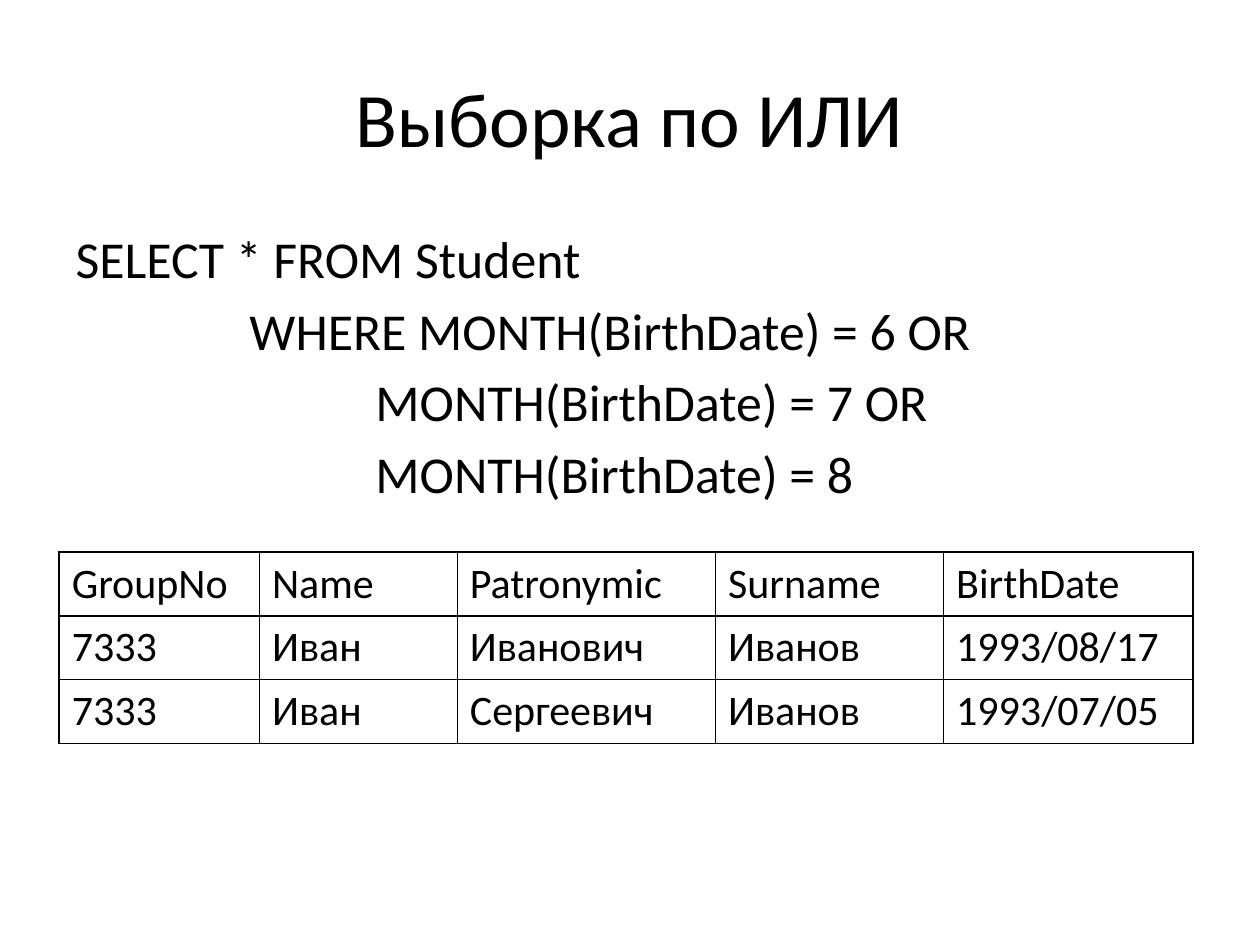
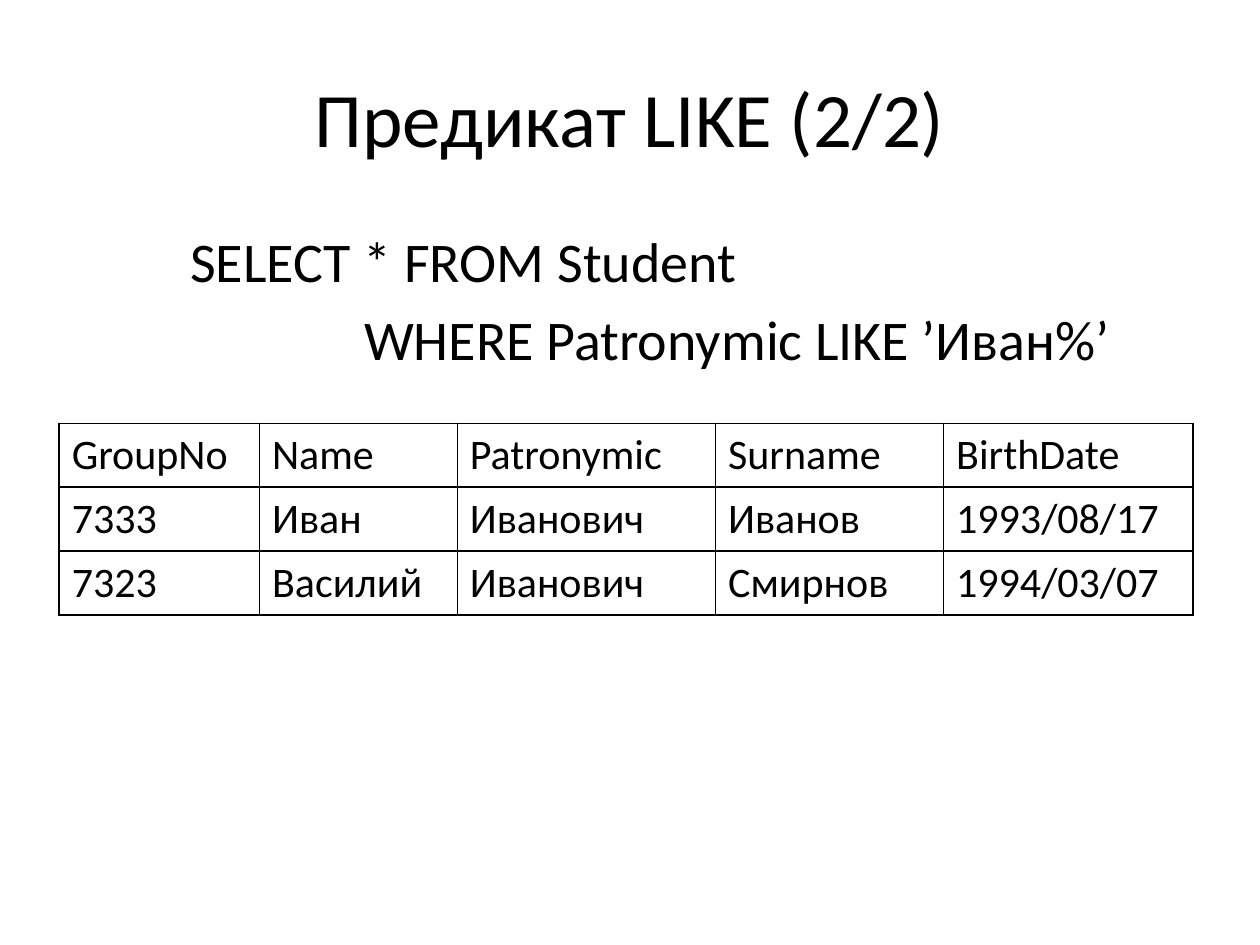
from dataclasses import dataclass

from lxml.etree import SubElement
from pptx import Presentation
from pptx.dml.color import RGBColor
from pptx.enum.text import MSO_ANCHOR, MSO_AUTO_SIZE, PP_ALIGN
from pptx.oxml.ns import qn
from pptx.util import Inches, Pt

# Content
HEADER = ("GroupNo", "Name", "Patronymic", "Surname", "BirthDate")
SLIDES = [
    {
        "title": "Выборка по ИЛИ",
        "query": [
            "SELECT * FROM Student",
            "\t\tWHERE MONTH(BirthDate) = 6 OR",
            "\t\t\tMONTH(BirthDate) = 7 OR",
            "\t\t\tMONTH(BirthDate) = 8",
        ],
        "query_size": 29.6,
        "query_left": 0.5,
        "query_height": 2.31,
        "table_top": 4.38,
        "rows": [
            ("7333", "Иван", "Иванович", "Иванов", "1993/08/17"),
            ("7333", "Иван", "Сергеевич", "Иванов", "1993/07/05"),
        ],
    },
    {
        "title": "Предикат LIKE (2/2)",
        "query": [
            "SELECT * FROM Student",
            "\t\tWHERE Patronymic LIKE ’Иван%’",
        ],
        "query_size": 32,
        "query_left": 1.41,
        "query_height": 1.22,
        "table_top": 3.36,
        "rows": [
            ("7333", "Иван", "Иванович", "Иванов", "1993/08/17"),
            ("7323", "Василий", "Иванович", "Смирнов", "1994/03/07"),
        ],
    },
]


@dataclass(frozen=True)
class Theme:
    font: str = "Calibri"
    ink: str = "000000"
    paper: str = "FFFFFF"
    title_size: float = 44
    table_size: float = 24
    border: float = 1
    line_gap: float = 0.18  # space between query lines, share of type size


THEME = Theme()

# Layout, in inches
WIDTH, HEIGHT = 10, 7.5
MARGIN = 0.05 * WIDTH
TITLE_TOP, TITLE_HEIGHT = 0.3, 1.25
QUERY_TOP = 1.75
HANGING = 0.38
TAB_STEP = 1
TABLE_LEFT = 0.47
COLUMNS = (1.59, 1.57, 2.05, 1.81, 1.98)
ROW_HEIGHT = 0.5


def place(shape, left, top, width, height):
    shape.left, shape.top = Inches(left), Inches(top)
    shape.width, shape.height = Inches(width), Inches(height)


def write(frame, lines, size, align=PP_ALIGN.LEFT, gap=0, hanging=0):
    """Fill a text frame, one paragraph per line."""
    for index, line in enumerate(lines):
        paragraph = frame.paragraphs[0] if index == 0 else frame.add_paragraph()
        paragraph.text = line
        paragraph.alignment = align
        paragraph.space_before = Pt(gap if index else 0)
        if hanging:
            properties = paragraph._p.get_or_add_pPr()
            properties.set("marL", str(Inches(hanging)))
            properties.set("indent", str(-Inches(hanging)))
            properties.set("defTabSz", str(Inches(TAB_STEP)))
            SubElement(properties, qn("a:buNone"))
        for run in paragraph.runs:
            run.font.name = THEME.font
            run.font.size = Pt(size)
            run.font.color.rgb = RGBColor.from_string(THEME.ink)


def outline(cell):
    properties = cell._tc.get_or_add_tcPr()
    for side in ("lnL", "lnR", "lnT", "lnB"):
        line = SubElement(properties, qn(f"a:{side}"), w=str(Pt(THEME.border)))
        fill = SubElement(line, qn("a:solidFill"))
        SubElement(fill, qn("a:srgbClr"), val=THEME.ink)


def add_result_table(slide, rows, top):
    table = slide.shapes.add_table(
        len(rows), len(COLUMNS), Inches(TABLE_LEFT), Inches(top),
        Inches(sum(COLUMNS)), Inches(ROW_HEIGHT * len(rows)),
    ).table
    table.first_row = table.horz_banding = False
    for column, width in zip(table.columns, COLUMNS):
        column.width = Inches(width)
    for row_index, row in enumerate(rows):
        for column_index, value in enumerate(row):
            cell = table.cell(row_index, column_index)
            write(cell.text_frame, [value], THEME.table_size)
            outline(cell)
            cell.fill.background()


def add_query_slide(presentation, content):
    slide = presentation.slides.add_slide(presentation.slide_layouts[1])
    slide.background.fill.solid()
    slide.background.fill.fore_color.rgb = RGBColor.from_string(THEME.paper)

    # Title
    title = slide.shapes.title
    place(title, MARGIN, TITLE_TOP, WIDTH - 2 * MARGIN, TITLE_HEIGHT)
    title.text_frame.vertical_anchor = MSO_ANCHOR.MIDDLE
    write(title.text_frame, [content["title"]], THEME.title_size, align=PP_ALIGN.CENTER)

    # Query
    query, left, size = slide.placeholders[1], content["query_left"], content["query_size"]
    place(query, left, QUERY_TOP, WIDTH - MARGIN - left, content["query_height"])
    query.text_frame.auto_size = MSO_AUTO_SIZE.NONE
    write(query.text_frame, content["query"], size, gap=size * THEME.line_gap, hanging=HANGING)

    # Result
    add_result_table(slide, [HEADER, *content["rows"]], content["table_top"])


def main():
    presentation = Presentation()
    presentation.slide_width, presentation.slide_height = Inches(WIDTH), Inches(HEIGHT)
    for content in SLIDES:
        add_query_slide(presentation, content)
    presentation.save("out.pptx")


if __name__ == "__main__":
    main()
